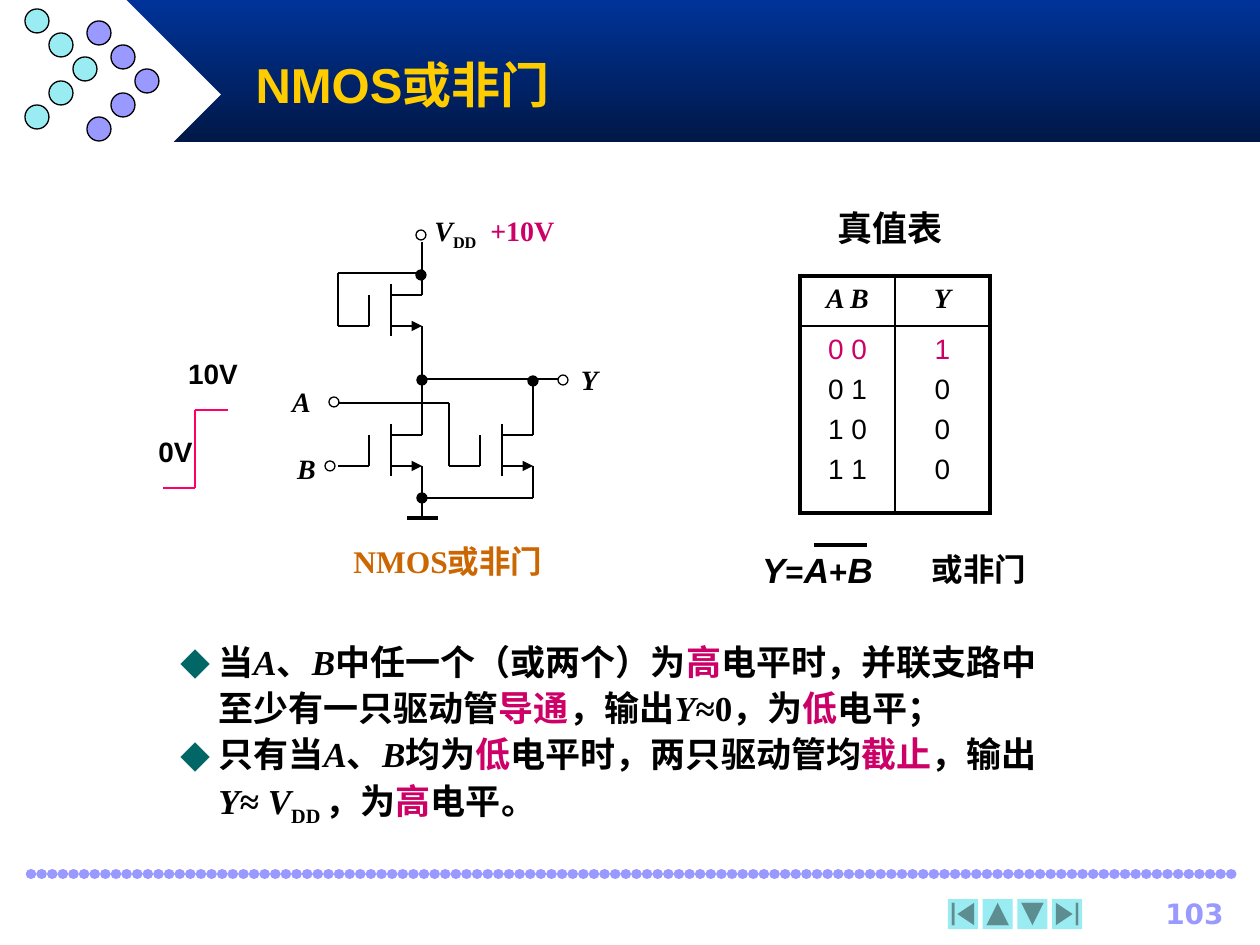
from lxml import etree
from pptx import Presentation
from pptx.dml.color import RGBColor
from pptx.enum.shapes import MSO_CONNECTOR, MSO_SHAPE
from pptx.enum.text import MSO_ANCHOR, PP_ALIGN
from pptx.oxml.ns import qn
from pptx.util import Pt

PX = 914400 / 126
STRAIGHT = MSO_CONNECTOR.STRAIGHT
OVAL, RECT, DIAMOND = MSO_SHAPE.OVAL, MSO_SHAPE.RECTANGLE, MSO_SHAPE.DIAMOND
LEFT, CENTER, RIGHT = PP_ALIGN.LEFT, PP_ALIGN.CENTER, PP_ALIGN.RIGHT
MIDDLE = MSO_ANCHOR.MIDDLE
SERIF, SANS, SYMBOL_FONT = "Times New Roman", "Arial", "DejaVu Sans"
BLACK, WHITE, RED, PULSE = "000000", "FFFFFF", "CC0066", "FF0066"
LILAC, CYAN, ORANGE, GOLD, TEAL = "9999FF", "98ECF2", "CC6600", "FFCC00", "006666"

TITLE = "NMOS或非门"
DOT_CHEVRONS = [(87, 21, LILAC), (25, 9, CYAN)]
BUTTONS = [(MSO_SHAPE.ACTION_BUTTON_BEGINNING, 0),
           (MSO_SHAPE.ACTION_BUTTON_BACK_OR_PREVIOUS, 90),
           (MSO_SHAPE.ACTION_BUTTON_FORWARD_OR_NEXT, 90),
           (MSO_SHAPE.ACTION_BUTTON_END, 0)]

# Gate x and drain y of each transistor: load, driver B, driver A
TRANSISTORS = [(369, 295), (369, 435), (480, 435)]
WIRES = [
    [(422, 295), (422, 242)],
    [(422, 326), (422, 435)],
    [(338, 326), (338, 273), (422, 273)],
    [(422, 379), (558, 379)],
    [(422, 466), (422, 518)],
    [(533, 435), (533, 382)],
    [(533, 466), (533, 498), (422, 498)],
    [(449, 466), (449, 403), (338, 403)],
]
GROUND = [(407, 518), (438, 518)]
JUNCTIONS = [(421, 275), (422, 380), (533, 381), (422, 498)]
TERMINALS = [(421, 235), (563, 380), (330, 466), (334, 402)]
INPUT_STEP = [(163, 488), (195, 488), (195, 410), (228, 410)]
NOT_BAR = [(814, 545), (867, 545)]

# Run styles: i italic, s subscript, r red, m smaller by 2 pt
# Label: runs, left, top, width, height, size, font, colour, alignment, line spacing
LABELS = [
    ([("V", "i"), ("DD", "s")], 422, 207, 72, 52, 16, SERIF, BLACK, LEFT, 1),
    ([("+10V", "")], 478, 207, 100, 52, 16, SERIF, RED, LEFT, 1),
    ([("Y", "i")], 558, 356, 63, 46, 16, SERIF, BLACK, CENTER, 1),
    ([("A", "i")], 270, 378, 63, 46, 16, SERIF, BLACK, CENTER, 1),
    ([("B", "i")], 275, 445, 63, 46, 16, SERIF, BLACK, CENTER, 1),
    ([("10V", "")], 168, 357, 90, 43, 16, SANS, BLACK, CENTER, 0.8),
    ([("0V", "")], 137, 435, 77, 39, 16, SANS, BLACK, CENTER, 0.8),
    ([("NMOS或非门", "")], 328, 532, 240, 54, 18, SERIF, ORANGE, CENTER, 1.1),
    ([("真值表", "")], 780, 200, 220, 56, 20, SANS, BLACK, CENTER, 1),
    ([("Y", "i"), ("=", "m"), ("A", "i"), ("+", "m"), ("B", "i")],
     728, 542, 179, 56, 20, SANS, BLACK, CENTER, 1),
    ([("或非门", "")], 906, 544, 146, 50, 18, SANS, BLACK, CENTER, 1),
    ([("103", "")], 1116, 890, 120, 42, 16, SYMBOL_FONT, LILAC, RIGHT, 1),
]

TRUTH_TABLE = [("A B", "Y"), ("0 0", "1"), ("0 1", "0"), ("1 0", "0"), ("1 1", "0")]
ROW_HEIGHTS = [50, 40, 40, 40, 67]
COLUMN_WIDTH = 95

EXPLANATION = [
    [("当", ""), ("A", "i"), ("、", ""), ("B", "i"), ("中任一个（或两个）为", ""),
     ("高", "r"), ("电平时，并联支路中至少有一只驱动管", ""), ("导通", "r"),
     ("，输出", ""), ("Y", "i"), ("≈0，为", ""), ("低", "r"), ("电平；", "")],
    [("只有当", ""), ("A", "i"), ("、", ""), ("B", "i"), ("均为", ""), ("低", "r"),
     ("电平时，两只驱动管均", ""), ("截止", "r"), ("，输出", ""), ("Y", "i"),
     ("≈", ""), (" V", "i"), ("DD ", "s"), ("，为", ""), ("高", "r"), ("电平。", "")],
]


def px(*lengths):
    return [round(length * PX) for length in lengths]


def rgb(colour):
    return RGBColor.from_string(colour)


def style_font(font, size, name, colour, bold=True, italic=False):
    font.size, font.name, font.bold, font.italic = Pt(size), name, bold, italic
    font.color.rgb = rgb(colour)


def add_runs(paragraph, runs, size, name, colour):
    for text, style in runs:
        run = paragraph.add_run()
        run.text = text
        style_font(run.font, size - 2 * ("m" in style), name,
                   RED if "r" in style else colour, italic="i" in style)
        if "s" in style:
            run._r.get_or_add_rPr().set("baseline", "-25000")


def add_text_frame(slide, *box):
    frame = slide.shapes.add_textbox(*px(*box)).text_frame
    frame.word_wrap = True
    return frame


def add_preset(slide, preset, box, fill=None, outline=None):
    shape = slide.shapes.add_shape(preset, *px(*box))
    shape.shadow.inherit = False
    if fill:
        shape.fill.solid()
        shape.fill.fore_color.rgb = rgb(fill)
    else:
        shape.fill.background()
    if outline:
        shape.line.color.rgb = rgb(outline)
        shape.line.width = Pt(0.75)
    else:
        shape.line.fill.background()
    return shape


def add_wire(slide, points, colour=BLACK, width=0.75):
    """Join successive points with straight connectors and return the last one."""
    for start, end in zip(points, points[1:]):
        wire = slide.shapes.add_connector(STRAIGHT, *px(*start, *end))
        wire.line.color.rgb = rgb(colour)
        wire.line.width = Pt(width)
        etree.SubElement(wire._element.spPr, qn("a:effectLst"))
    return wire


def add_transistor(slide, gate, drain):
    channel, right, source = gate + 22, gate + 53, drain + 31
    add_wire(slide, [(gate - 31, source), (gate, source), (gate, drain)])
    add_wire(slide, [(channel, drain - 11), (channel, source + 10)])
    add_wire(slide, [(channel, drain), (right, drain)])
    arrow = add_wire(slide, [(channel, source), (right, source)])
    etree.SubElement(arrow.line._get_or_add_ln(), qn("a:tailEnd"), type="triangle")


def add_banner(slide):
    band = add_preset(slide, RECT, (126, 0, 1134, 142), WHITE)
    band.fill.gradient()
    band.fill.gradient_angle = 270
    for i, colour in enumerate(("003399", "001847")):
        stop = band.fill.gradient_stops[i]
        stop.color.rgb = rgb(colour)
        stop.position = i
    add_preset(slide, DIAMOND, (32, 0, 189, 189), WHITE)
    for left, top, colour in DOT_CHEVRONS:
        for i in range(5):
            box = (left + 24 * min(i, 4 - i), top + 24 * i, 24, 24)
            add_preset(slide, OVAL, box, colour, BLACK)


def add_title(slide):
    title = slide.shapes.title
    title.left, title.top, title.width, title.height = px(243, 42, 869, 84)
    title.text_frame.text = TITLE
    title.text_frame.vertical_anchor = MIDDLE
    paragraph = title.text_frame.paragraphs[0]
    paragraph.alignment = LEFT
    style_font(paragraph.runs[0].font, 28, SANS, GOLD)
    slide.shapes._spTree.append(title._element)


def add_footer(slide):
    rule = add_wire(slide, [(31, 874), (1238, 874)], LILAC, 6).line._get_or_add_ln()
    rule.set("cap", "rnd")
    dashes = etree.SubElement(rule, qn("a:custDash"))
    etree.SubElement(dashes, qn("a:ds"), d="100000", sp="1000")
    for i, (preset, angle) in enumerate(BUTTONS):
        button = add_preset(slide, preset, (948 + 34.7 * i, 899, 30, 30), CYAN)
        button.rotation = angle


def set_borders(cell, widths):
    """Draw left, right, top and bottom borders; a width of 0 hides one."""
    properties = cell._tc.get_or_add_tcPr()
    for side, width in zip("LRTB", widths):
        line = etree.SubElement(properties, qn(f"a:ln{side}"), w=str(Pt(width)))
        fill = etree.SubElement(line, qn("a:solidFill" if width else "a:noFill"))
        if width:
            etree.SubElement(fill, qn("a:srgbClr"), val=BLACK)


def add_truth_table(slide):
    last = len(TRUTH_TABLE) - 1
    table = slide.shapes.add_table(
        last + 1, 2, *px(800, 276, 2 * COLUMN_WIDTH, sum(ROW_HEIGHTS))).table
    table.first_row = table.horz_banding = False
    for column in table.columns:
        column.width = px(COLUMN_WIDTH)[0]
    rules = [2.25, 1] + [0] * (last - 1) + [2.25]
    for r, values in enumerate(TRUTH_TABLE):
        table.rows[r].height = px(ROW_HEIGHTS[r])[0]
        for c, value in enumerate(values):
            cell = table.cell(r, c)
            sides = (1, 2.25) if c else (2.25, 1)
            set_borders(cell, (*sides, rules[r], rules[r + 1]))
            cell.fill.background()
            cell.margin_top, cell.margin_bottom = px(8, 0)
            cell.text_frame.text = value
            paragraph = cell.text_frame.paragraphs[0]
            paragraph.alignment = CENTER
            head = r == 0
            style_font(paragraph.runs[0].font, 16, SERIF if head else SANS,
                       RED if r == 1 else BLACK, head, head)


def add_explanation(slide):
    frame = add_text_frame(slide, 168, 630, 910, 204)
    for i, runs in enumerate(EXPLANATION):
        paragraph = frame.add_paragraph() if i else frame.paragraphs[0]
        properties = paragraph._p.get_or_add_pPr()
        indent = px(38)[0]
        properties.set("marL", str(indent))
        properties.set("indent", str(-indent))
        colour = etree.SubElement(properties, qn("a:buClr"))
        etree.SubElement(colour, qn("a:srgbClr"), val=TEAL)
        etree.SubElement(properties, qn("a:buSzPct"), val="110000")
        etree.SubElement(properties, qn("a:buFont"), typeface=SYMBOL_FONT)
        etree.SubElement(properties, qn("a:buChar"), char="◆")
        paragraph.line_spacing = 1.1
        add_runs(paragraph, runs, 20, SERIF, BLACK)


def main():
    deck = Presentation()
    deck.slide_width, deck.slide_height = px(1260, 945)
    slide = deck.slides.add_slide(deck.slide_layouts[5])
    add_banner(slide)
    add_title(slide)
    add_footer(slide)
    for gate, drain in TRANSISTORS:
        add_transistor(slide, gate, drain)
    for points in WIRES:
        add_wire(slide, points)
    add_wire(slide, GROUND, width=2.25)
    add_wire(slide, NOT_BAR, width=2.25)
    add_wire(slide, INPUT_STEP, PULSE, 1.5)
    for nodes, fill in ((JUNCTIONS, BLACK), (TERMINALS, None)):
        for x, y in nodes:
            add_preset(slide, OVAL, (x - 5, y - 5, 10, 10), fill, BLACK)
    add_truth_table(slide)
    for runs, left, top, width, height, size, name, colour, align, spacing in LABELS:
        paragraph = add_text_frame(slide, left, top, width, height).paragraphs[0]
        paragraph.alignment, paragraph.line_spacing = align, float(spacing)
        add_runs(paragraph, runs, size, name, colour)
    add_explanation(slide)
    deck.save("out.pptx")


if __name__ == "__main__":
    main()
